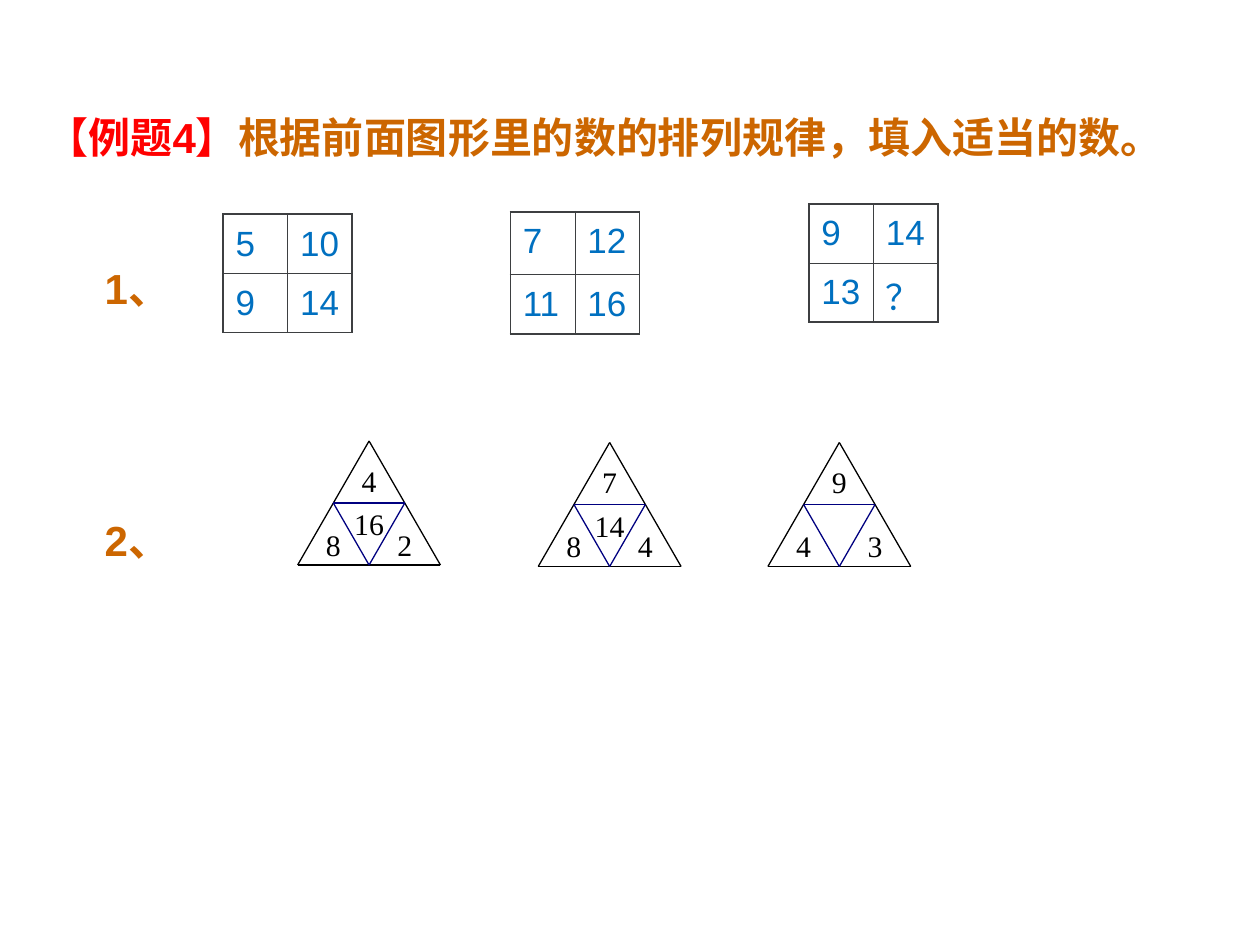
from dataclasses import dataclass

from lxml import etree
from pptx import Presentation
from pptx import util as u
from pptx.dml import color
from pptx.enum import shapes, text
from pptx.oxml import ns


@dataclass(frozen=True)
class Theme:
    heading: str = "CC6600"
    tag: str = "FF0000"
    cell: str = "0070C0"
    border: str = "3D3F41"
    outline: str = "000000"
    inner: str = "000080"
    sans: str = "Arial"
    serif: str = "Times New Roman"
    heading_size: float = 24
    cell_size: float = 20
    label_size: float = 17
    outer_border: float = 1.08
    inner_border: float = 0.45
    line_width: float = 0.75


THEME = Theme()
MARGINS = ("margin_left", "margin_top", "margin_right", "margin_bottom")
INSETS = dict(zip(MARGINS, (u.Cm(0.25), u.Cm(0.13)) * 2))
NO_INSETS = dict.fromkeys(MARGINS, 0)


def apply_format(target, values):
    for name, value in values.items():
        setattr(target, name, value)


def place(shape, box):
    apply_format(shape, dict(zip(("left", "top", "width", "height"), map(u.Cm, box))))


def add_run(paragraph, words, size, rgb, name=THEME.sans, bold=False):
    run = paragraph.add_run()
    run.text = words
    apply_format(run.font, {"size": u.Pt(size), "name": name, "bold": bold})
    run.font.color.rgb = color.RGBColor.from_string(rgb)


def fill_placeholder(shape, box, paragraphs):
    """Each paragraph is (space before in points, [(words, colour), ...])."""
    place(shape, box)
    frame = shape.text_frame
    apply_format(frame, {**INSETS, "word_wrap": True,
                         "auto_size": text.MSO_AUTO_SIZE.NONE,
                         "vertical_anchor": text.MSO_ANCHOR.TOP})
    for index, (space, runs) in enumerate(paragraphs):
        paragraph = frame.add_paragraph() if index else frame.paragraphs[0]
        apply_format(paragraph, {"alignment": text.PP_ALIGN.LEFT,
                                 "space_before": u.Pt(space)})
        properties = paragraph._p.get_or_add_pPr()
        properties.set("marL", "0")
        properties.set("indent", "0")
        etree.SubElement(properties, ns.qn("a:buNone"))
        for words, rgb in runs:
            add_run(paragraph, words, THEME.heading_size, rgb, bold=True)


def set_borders(cell, row, column):
    """Draw the outer sides of a 2 by 2 grid heavier than the inner ones."""
    properties = cell._tc.get_or_add_tcPr()
    outer = {"lnL": column == 0, "lnR": column == 1,
             "lnT": row == 0, "lnB": row == 1}
    for index, (tag, is_outer) in enumerate(outer.items()):
        width = THEME.outer_border if is_outer else THEME.inner_border
        line = etree.Element(ns.qn(f"a:{tag}"), w=str(u.Pt(width)))
        fill = etree.SubElement(line, ns.qn("a:solidFill"))
        etree.SubElement(fill, ns.qn("a:srgbClr"), val=THEME.border)
        properties.insert(index, line)


def add_number_grid(slide, box, values, row_heights):
    frame = slide.shapes.add_table(2, 2, *map(u.Cm, box))
    table = frame.table
    apply_format(table, {"first_row": False, "horz_banding": False})
    for row, numbers in enumerate(values):
        table.rows[row].height = u.Cm(row_heights[row])
        for column, number in enumerate(numbers):
            table.columns[column].width = u.Cm(box[2] / 2)
            cell = table.cell(row, column)
            apply_format(cell, {**INSETS, "margin_bottom": 0})
            cell.fill.background()
            paragraph = cell.text_frame.paragraphs[0]
            # The full-width mark is taller, so it takes single spacing
            apply_format(paragraph, {"alignment": text.PP_ALIGN.JUSTIFY,
                                     "line_spacing": 1.1 if number.isdigit() else 1.0})
            add_run(paragraph, number, THEME.cell_size, THEME.cell)
            set_borders(cell, row, column)


def add_line(parent, start, end, rgb):
    line = parent.shapes.add_connector(
        shapes.MSO_CONNECTOR.STRAIGHT, *map(u.Cm, start + end))
    line.line.width = u.Pt(THEME.line_width)
    line.line.color.rgb = color.RGBColor.from_string(rgb)
    etree.SubElement(line._element.spPr, ns.qn("a:effectLst"))


def add_label(parent, center, top, words):
    width = 0.33 * len(words)
    label = parent.shapes.add_textbox(
        *map(u.Cm, (center - width / 2, top, width, 0.71)))
    frame = label.text_frame
    apply_format(frame, {**NO_INSETS, "word_wrap": False,
                         "auto_size": text.MSO_AUTO_SIZE.NONE})
    paragraph = frame.paragraphs[0]
    paragraph.alignment = text.PP_ALIGN.CENTER
    add_run(paragraph, words, THEME.label_size, THEME.outline, THEME.serif)


def add_number_triangle(slide, box, top_number, left_number, right_number, middle):
    left, top, width, height = box
    group = slide.shapes.add_group_shape()
    quarter = [left + width * step / 4 for step in range(5)]
    half, bottom = top + height / 2, top + height
    # Corners of the outer triangle, then of the inverted inner one
    triangles = (
        (THEME.outline, [(quarter[0], bottom), (quarter[2], top), (quarter[4], bottom)]),
        (THEME.inner, [(quarter[1], half), (quarter[2], bottom), (quarter[3], half)]),
    )
    for rgb, corners in triangles:
        for index, corner in enumerate(corners):
            add_line(group, corners[index - 1], corner, rgb)
    # Numbers in the four small triangles
    labels = ((2, 0.43, top_number), (1, 1.72, left_number),
              (3, 1.72, right_number), (2, 1.31, middle))
    for step, offset, words in labels:
        if words:
            add_label(group, quarter[step], top + offset, words)


def build_exercise(presentation):
    slide = presentation.slides.add_slide(presentation.slide_layouts[1])
    title, body = slide.placeholders
    # Heading and exercise numbers
    fill_placeholder(title, (0.69, 2.11, 23.6, 1.6), [
        (0, [("【例题4】", THEME.tag),
             ("根据前面图形里的数的排列规律，填入适当的数。", THEME.heading)])])
    fill_placeholder(body, (1.86, 5.16, 22.43, 10.4), [
        (0, [("1、", THEME.heading)]), (115, [("2、", THEME.heading)])])
    # Exercise 1: number grids
    grids = (
        (4.5, 4.32, (1.19, 1.19), (("5", "10"), ("9", "14"))),
        (10.29, 4.27, (1.27, 1.19), (("7", "12"), ("11", "16"))),
        (16.31, 4.11, (1.19, 1.19), (("9", "14"), ("13", "？"))),
    )
    for left, top, heights, values in grids:
        add_number_grid(slide, (left, top, 2.6, sum(heights)), values, heights)
    # Exercise 2: number triangles
    triangles = (
        (6, 8.89, ("4", "8", "2", "16")),
        (10.85, 8.92, ("7", "8", "4", "14")),
        (15.48, 8.92, ("9", "4", "3", None)),
    )
    for left, top, numbers in triangles:
        add_number_triangle(slide, (left, top, 2.88, 2.5), *numbers)


def main():
    presentation = Presentation()
    apply_format(presentation, {"slide_width": u.Cm(25.4), "slide_height": u.Cm(19.05)})
    build_exercise(presentation)
    presentation.save("out.pptx")


if __name__ == "__main__":
    main()
